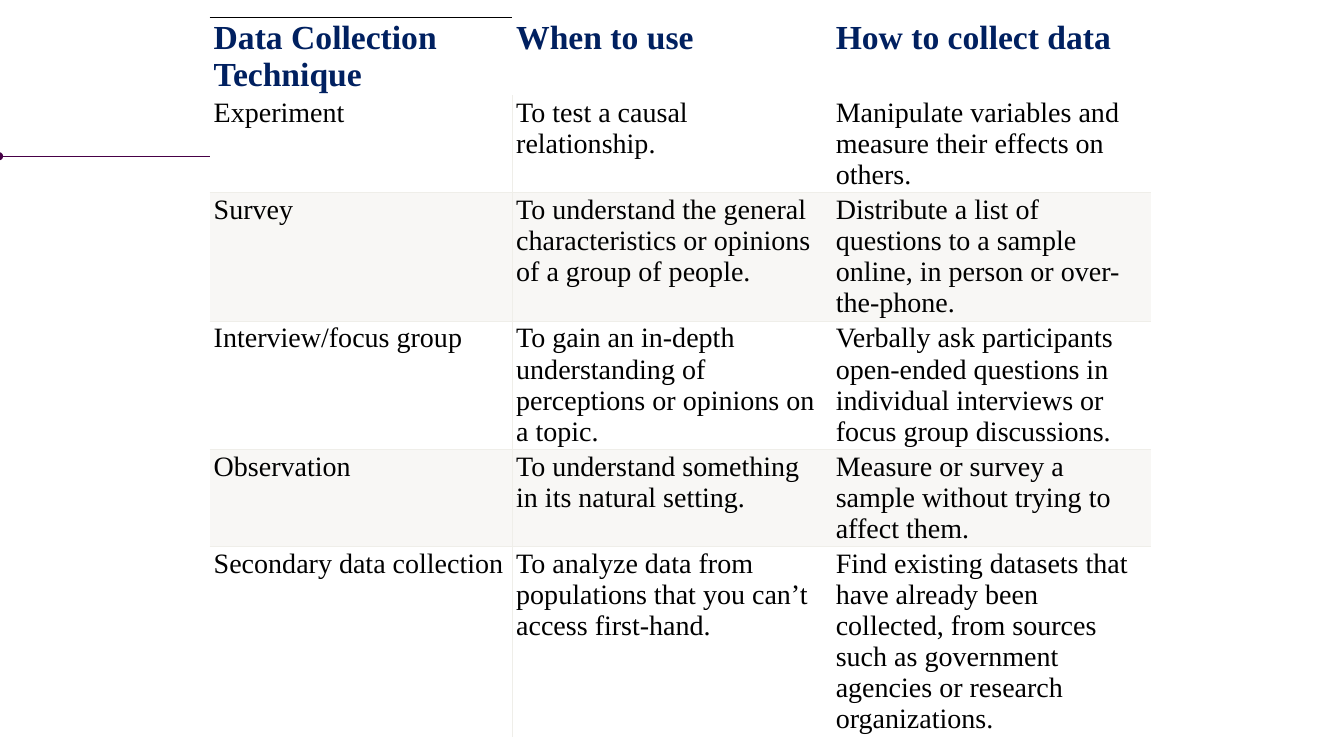
from lxml.etree import SubElement
from pptx import Presentation
from pptx.dml.color import RGBColor
from pptx.enum.shapes import MSO_CONNECTOR
from pptx.oxml import parse_xml
from pptx.oxml.ns import nsdecls, qn
from pptx.util import Pt

HEADER = ("Data Collection Technique", "When to use", "How to collect data")
TECHNIQUES = [
    ("Experiment", "To test a causal relationship.",
     "Manipulate variables and measure their effects on others."),
    ("Survey",
     "To understand the general characteristics or opinions of a group of people.",
     "Distribute a list of questions to a sample online, in person or over-the-phone."),
    ("Interview/focus group",
     "To gain an in-depth understanding of perceptions or opinions on a topic.",
     "Verbally ask participants open-ended questions in individual interviews "
     "or focus group discussions."),
    ("Observation", "To understand something in its natural setting.",
     "Measure or survey a sample without trying to affect them."),
    ("Secondary data collection",
     "To analyze data from populations that you can’t access first-hand.",
     "Find existing datasets that have already been collected, from sources "
     "such as government agencies or research organizations."),
]
COLORS = {"heading": "002060", "text": "000000", "plain": "FFFFFF",
          "band": "F8F7F5", "grid": "EFEEE9", "accent": "460046"}
FONT = "Times New Roman"
PX = 9144  # 100 px to the inch
COL_WIDTHS = (300, 317, 317)
ROW_HEIGHTS = (54, 53, 68, 100, 53, 116)
TABLE_BOX = (208, 17, 933, 739)
LINE_WIDTH = Pt(0.75)


def px(n):
    return n * PX


def rgb(name):
    return RGBColor.from_string(COLORS[name])


def write(tf, text, size=20, color="text", bold=False):
    r = tf.paragraphs[0].add_run()
    r.text = text
    r.font.name, r.font.size, r.font.bold = FONT, Pt(size), bold
    r.font.color.rgb = rgb(color)


def set_borders(cell, edges):
    """Draw the edges named in a dict of side to colour; clear the others."""
    tcPr = cell._tc.get_or_add_tcPr()
    for i, side in enumerate("LRTB"):
        if side in edges:
            paint = (f'<a:solidFill><a:srgbClr val="{COLORS[edges[side]]}"/>'
                     '</a:solidFill>')
        else:
            paint = "<a:noFill/>"
        tcPr.insert(i, parse_xml(
            f'<a:ln{side} {nsdecls("a")} w="{LINE_WIDTH}">{paint}</a:ln{side}>'))


def cell_edges(row, col):
    if row == 0:
        return {"T": "text"} if col == 0 else {}
    sides = ""
    if col < 2:
        sides += "RL"[col]
    if row > 1:
        sides += "T"
    if row < len(TECHNIQUES):
        sides += "B"
    return dict.fromkeys(sides, "grid")


def add_accent_line(s):
    line = s.shapes.add_connector(
        MSO_CONNECTOR.STRAIGHT, px(-1), px(155), px(583), px(155))
    line.line.color.rgb = rgb("accent")
    line.line.width = LINE_WIDTH
    ln = line.line._get_or_add_ln()
    for end in ("a:headEnd", "a:tailEnd"):
        SubElement(ln, qn(end), type="oval")
    SubElement(line._element.spPr, qn("a:effectLst"))


def add_technique_table(s):
    rows = [HEADER, *TECHNIQUES]
    frame = s.shapes.add_table(len(rows), len(HEADER), *map(px, TABLE_BOX))
    table = frame.table
    table.first_row = table.horz_banding = False
    for column, width in zip(table.columns, COL_WIDTHS):
        column.width = px(width)
    for row, height in zip(table.rows, ROW_HEIGHTS):
        row.height = px(height)
    frame.height = px(TABLE_BOX[3])

    for i, texts in enumerate(rows):
        style = {"size": 24, "color": "heading", "bold": True} if i == 0 else {}
        for j, text in enumerate(texts):
            cell = table.cell(i, j)
            cell.margin_left = cell.margin_right = px(4)
            cell.margin_top = cell.margin_bottom = px(2)
            cell.fill.solid()
            cell.fill.fore_color.rgb = rgb(
                "band" if i and i % 2 == 0 else "plain")
            set_borders(cell, cell_edges(i, j))
            write(cell.text_frame, text, **style)


def main():
    prs = Presentation()
    prs.slide_width, prs.slide_height = px(1333), px(750)
    s = prs.slides.add_slide(prs.slide_layouts[6])
    add_accent_line(s)
    add_technique_table(s)
    prs.save("out.pptx")


if __name__ == "__main__":
    main()
